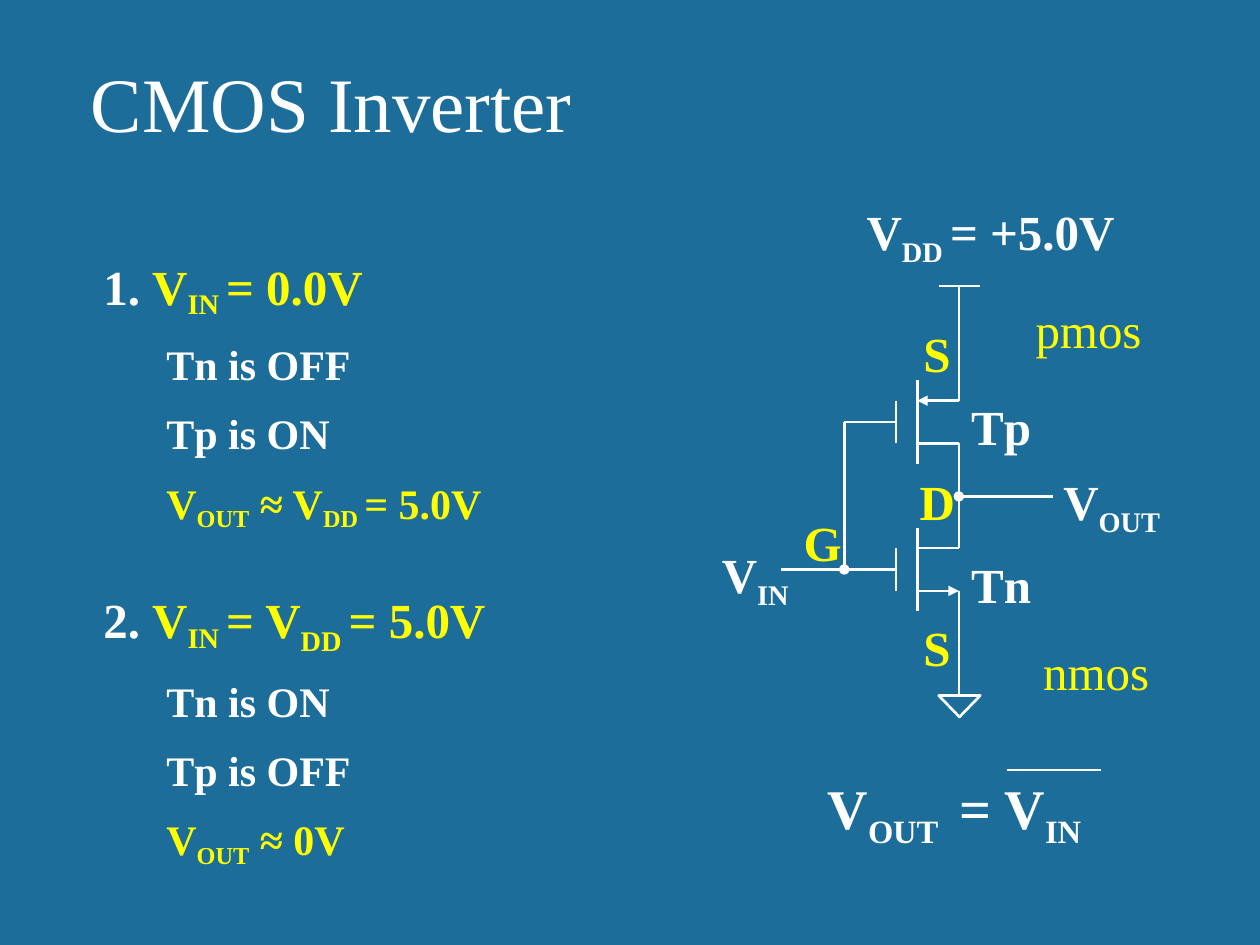
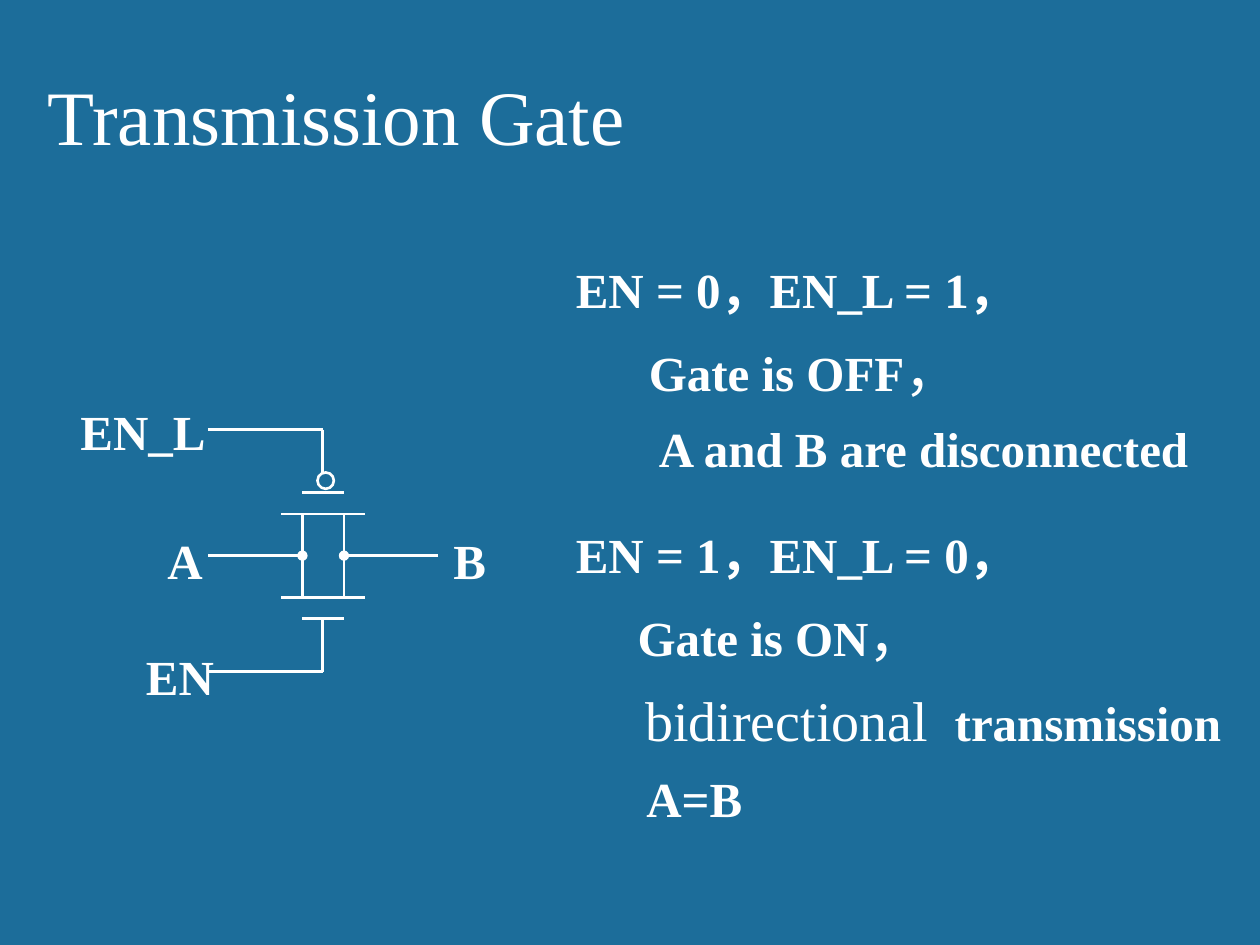
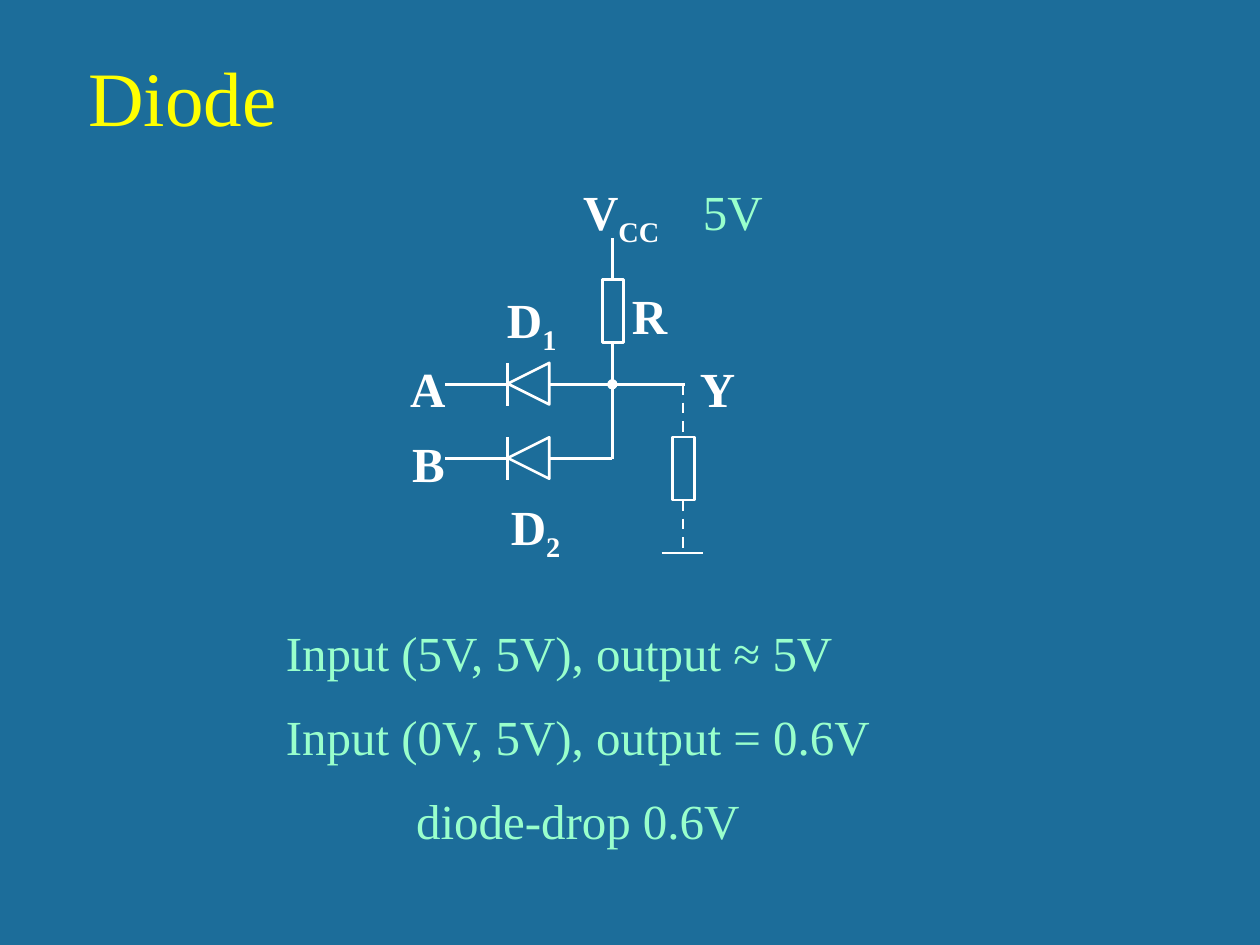
from dataclasses import dataclass
from typing import Optional

import pptx
import pptx.dml.color
import pptx.enum.dml
import pptx.enum.shapes
import pptx.enum.text
import pptx.oxml.ns
import pptx.util
from lxml import etree

Inches = pptx.util.Inches
Pt = pptx.util.Pt
Align = pptx.enum.text.PP_ALIGN
Shape = pptx.enum.shapes.MSO_SHAPE
qn = pptx.oxml.ns.qn


@dataclass(frozen=True)
class Theme:
    font: str = "Times New Roman"
    background: str = "1C6D9A"
    white: str = "FFFFFF"
    yellow: str = "FFFF00"
    mint: str = "99FFCC"
    title: float = 44
    equation: float = 32
    label: float = 28
    detail: float = 24
    line: float = 1.5


THEME = Theme()


@dataclass(frozen=True)
class Span:
    """A piece of text; unset fields follow the paragraph."""
    text: str
    color: Optional[str] = None
    size: Optional[float] = None
    bold: Optional[bool] = None
    baseline: int = 0


@dataclass(frozen=True)
class Para:
    spans: tuple
    size: float = THEME.label
    color: str = THEME.white
    bold: bool = True
    align: Align = Align.LEFT
    level: int = 0
    margin: float = 0
    hanging: float = 0
    before: float = 0
    spacing: float = 1.0


@dataclass(frozen=True)
class Label:
    left: float
    top: float
    width: float
    spans: tuple
    color: str = THEME.white
    bold: bool = True
    align: Align = Align.LEFT


@dataclass(frozen=True)
class Wire:
    x1: float
    y1: float
    x2: float
    y2: float
    head: str = ""
    tail: str = ""
    dashed: bool = False


def sub(text: str, baseline: int = -25) -> Span:
    return Span(text, baseline=baseline)


def rgb(color: str) -> pptx.dml.color.RGBColor:
    return pptx.dml.color.RGBColor.from_string(color)


# Text

def write_para(para, item: Para) -> None:
    para.level = item.level
    para.alignment = item.align
    para.line_spacing = item.spacing
    para.space_before = Pt(item.before)
    properties = para._p.get_or_add_pPr()
    properties.set("marL", str(Inches(item.margin)))
    properties.set("indent", str(Inches(-item.hanging)))
    etree.SubElement(properties, qn("a:buNone"))
    para.font.name = THEME.font
    para.font.size = Pt(item.size)
    para.font.bold = item.bold
    para.font.color.rgb = rgb(item.color)
    for span in item.spans:
        run = para.add_run()
        run.text = span.text
        if span.color:
            run.font.color.rgb = rgb(span.color)
        if span.size:
            run.font.size = Pt(span.size)
        if span.bold is not None:
            run.font.bold = span.bold
        if span.baseline:
            run._r.get_or_add_rPr().set("baseline", str(span.baseline * 1000))


def write(frame, items) -> None:
    for index, item in enumerate(items):
        write_para(frame.add_paragraph() if index else frame.paragraphs[0], item)


def place(box, left: float, top: float, width: float, height: float) -> None:
    box.left, box.top = Inches(left), Inches(top)
    box.width, box.height = Inches(width), Inches(height)


def add_page(deck, layout: int, title: str, left: float, top: float,
             color: str = THEME.white):
    page = deck.slides.add_slide(deck.slide_layouts[layout])
    box = page.shapes.title
    place(box, left, top, 8.5, 0.84)
    box.text_frame.vertical_anchor = pptx.enum.text.MSO_ANCHOR.BOTTOM
    box.text_frame.auto_size = pptx.enum.text.MSO_AUTO_SIZE.NONE
    write(box.text_frame, [Para((Span(title),), THEME.title, color, False)])
    return page


def fill_body(page, left: float, top: float, width: float, height: float, items) -> None:
    box = page.placeholders[1]
    place(box, left, top, width, height)
    box.text_frame.auto_size = pptx.enum.text.MSO_AUTO_SIZE.NONE
    write(box.text_frame, items)


def add_text(page, left: float, top: float, width: float, height: float, items) -> None:
    box = page.shapes.add_textbox(Inches(left), Inches(top), Inches(width), Inches(height))
    box.text_frame.word_wrap = False
    write(box.text_frame, items)


def add_labels(page, labels) -> None:
    for label in labels:
        add_text(page, label.left, label.top, label.width, 0.57,
                 [Para(label.spans, color=label.color, bold=label.bold, align=label.align)])


# Circuit parts

def add_wires(page, wires) -> None:
    for wire in wires:
        connector = page.shapes.add_connector(
            pptx.enum.shapes.MSO_CONNECTOR.STRAIGHT,
            Inches(wire.x1), Inches(wire.y1), Inches(wire.x2), Inches(wire.y2))
        connector.line.color.rgb = rgb(THEME.white)
        connector.line.width = Pt(THEME.line)
        if wire.dashed:
            connector.line.dash_style = pptx.enum.dml.MSO_LINE.DASH
        outline = connector.line._get_or_add_ln()
        for tag, kind in (("a:headEnd", wire.head), ("a:tailEnd", wire.tail)):
            if kind:
                etree.SubElement(outline, qn(tag)).set("type", kind)
        etree.SubElement(connector._element.spPr, qn("a:effectLst"))


def add_outline(page, kind: Shape, left: float, top: float, width: float,
                height: float, rotation: float = 0) -> None:
    shape = page.shapes.add_shape(kind, Inches(left), Inches(top), Inches(width), Inches(height))
    shape.rotation = rotation
    shape.shadow.inherit = False
    shape.fill.background()
    shape.line.color.rgb = rgb(THEME.white)
    shape.line.width = Pt(THEME.line)


def add_transistor(page, x: float, y: float, arrow_y: float, head: str = "",
                   tail: str = "") -> None:
    """Gate plate at x, channel beside it, and two taps; one tap has an arrow."""
    channel, end = x + 0.17, x + 0.5
    add_wires(page, [
        Wire(x, y - 0.17, x, y + 0.17),
        Wire(channel, y - 0.33, channel, y + 0.33),
        Wire(channel, y + arrow_y, end, y + arrow_y, head, tail),
        Wire(channel, y - arrow_y, end, y - arrow_y),
    ])


def add_diode(page, left: float, y: float) -> None:
    add_outline(page, Shape.ISOSCELES_TRIANGLE, left, y - 0.17, 0.33, 0.33, 270)
    add_wires(page, [
        Wire(left, y - 0.17, left, y + 0.17),
        Wire(left, y, left - 0.5, y),
        Wire(left + 0.33, y, left + 0.83, y),
    ])


def add_resistor(page, x: float, top: float) -> None:
    add_outline(page, Shape.RECTANGLE, x - 0.08, top, 0.17, 0.5)


# Slides

def build_inverter(deck) -> None:
    page = add_page(deck, 1, "CMOS Inverter", 0.62, 0.38)

    def case(number: str, spans: tuple, before: float = 0) -> Para:
        return Para((Span(number, THEME.white),) + spans, color=THEME.yellow,
                    margin=0.38, hanging=0.38, before=before, spacing=1.2)

    def detail(*spans: Span, color: str = THEME.white) -> Para:
        return Para(spans, THEME.detail, color, level=1, margin=0.81,
                    hanging=0.31, before=4.8, spacing=1.2)

    v, v_in, v_out = Span("V"), sub("IN ", -20), sub("OUT", -20)
    fill_body(page, 0.72, 1.88, 4.98, 5.25, [
        case("1. ", (v, v_in, Span("= 0.0V"))),
        detail(Span("Tn is OFF")),
        detail(Span("Tp is ON")),
        detail(v, v_out, Span(" ≈ V"), sub("DD ", -20), Span("= 5.0V"), color=THEME.yellow),
        case("2. ", (v, v_in, Span("= V"), sub("DD "), Span("= 5.0V")), before=25),
        detail(Span("Tn is ON")),
        detail(Span("Tp is OFF")),
        detail(v, v_out, Span(" ≈ 0V"), color=THEME.yellow),
    ])

    # Transistor pair and its wiring
    gate, rail, tp_y, tn_y = 7.11, 7.61, 3.35, 4.52
    add_transistor(page, gate, tp_y, -0.17, head="triangle")
    add_transistor(page, gate, tn_y, 0.17, tail="triangle")
    add_wires(page, [
        Wire(rail - 0.16, 2.27, rail + 0.17, 2.27),
        Wire(rail, 2.27, rail, tp_y - 0.17),
        Wire(rail, tp_y + 0.17, rail, tn_y - 0.17),
        Wire(rail, tn_y + 0.17, rail, 5.52),
        Wire(rail, 3.94, 8.36, 3.94, head="oval"),
        Wire(gate, tp_y, 6.7, tp_y),
        Wire(gate, tn_y, 6.2, tn_y),
        Wire(6.7, tp_y, 6.7, tn_y, tail="oval"),
    ])
    add_outline(page, Shape.ISOSCELES_TRIANGLE, rail - 0.16, 5.52, 0.33, 0.17, 180)

    add_labels(page, [
        Label(6.78, 1.55, 2.25, (v, sub("DD "), Span("= +5.0V"))),
        Label(8.34, 3.69, 1.05, (v, sub("OUT"))),
        Label(5.63, 4.27, 0.78, (v, sub("IN"))),
        Label(7.61, 3.1, 0.68, (Span("Tp"),)),
        Label(7.61, 4.35, 0.68, (Span("Tn"),)),
        Label(6.28, 4.02, 0.51, (Span("G"),), THEME.yellow),
        Label(7.2, 3.69, 0.49, (Span("D"),), THEME.yellow),
        Label(7.23, 2.52, 0.42, (Span("S"),), THEME.yellow),
        Label(7.23, 4.85, 0.42, (Span("S"),), THEME.yellow),
        Label(8.12, 2.33, 1.05, (Span("pmos"),), THEME.yellow, False),
        Label(8.18, 5.04, 1.05, (Span("nmos"),), THEME.yellow, False),
    ])

    # Result, with the bar of the negation
    add_text(page, 6.47, 6.09, 2.73, 0.64, [
        Para((v, sub("OUT "), Span(" = V"), sub("IN")), THEME.equation)])
    add_wires(page, [Wire(7.99, 6.11, 8.74, 6.11)])


def build_transmission_gate(deck) -> None:
    page = add_page(deck, 1, "Transmission Gate", 0.28, 0.49)

    def line(*spans: Span, margin: float = 0, before: float = 6) -> Para:
        return Para(spans, margin=margin, before=before, spacing=1.1)

    comma = Span("，", size=THEME.equation, bold=False)
    fill_body(page, 4.47, 1.96, 5.47, 5.42, [
        line(Span("EN = 0，EN_L = 1，"), before=0),
        line(Span("Gate is OFF"), comma, margin=0.58),
        line(Span("A and B are disconnected"), margin=0.66),
        line(Span("EN = 1，EN_L = 0，"), before=23.5),
        line(Span("Gate is ON"), comma, margin=0.49),
        line(Span("bidirectional ", size=THEME.equation, bold=False),
             Span(" transmission"), margin=0.55),
        line(Span("A=B"), margin=0.56),
    ])

    # Two facing transistors, mirrored about the signal line
    center, signal = 2.56, 4.41
    left, right = center - 0.16, center + 0.17
    for side in (-1, 1):
        plate, channel = signal + side * 0.5, signal + side * 0.33
        add_wires(page, [
            Wire(left, plate, right, plate),
            Wire(left - 0.17, channel, right + 0.17, channel),
            Wire(left, channel, left, signal),
            Wire(right, channel, right, signal),
        ])
    add_outline(page, Shape.OVAL, 2.52, 3.75, 0.13, 0.13)
    add_wires(page, [
        Wire(1.65, 3.41, center, 3.41),
        Wire(center, 3.41, center, 3.75),
        Wire(center, 5.33, center, 4.91),
        Wire(center, 5.33, 1.65, 5.33),
        Wire(left, signal, 1.65, signal, head="oval"),
        Wire(right, signal, 3.48, signal, head="oval"),
    ])
    add_labels(page, [
        Label(1.06, 5.08, 0.75, (Span("EN"),)),
        Label(0.54, 3.14, 1.2, (Span("EN_L"),)),
        Label(1.23, 4.16, 0.49, (Span("A"),)),
        Label(3.5, 4.16, 0.46, (Span("B"),)),
    ])


def build_diode(deck) -> None:
    page = add_page(deck, 5, "Diode", 0.6, 0.34, THEME.yellow)

    # Supply branch, two diodes and the dashed load
    rail, load, a_y, b_y = 4.86, 5.42, 3.05, 3.64
    add_resistor(page, rail, 2.22)
    add_resistor(page, load, 3.47)
    for y in (a_y, b_y):
        add_diode(page, 4.03, y)
    add_wires(page, [
        Wire(rail, 2.22, rail, 1.89),
        Wire(rail, 2.72, rail, b_y),
        Wire(rail, a_y, 5.44, a_y, head="oval"),
        Wire(load, a_y, load, 3.47, dashed=True),
        Wire(load, 3.97, load, 4.39, dashed=True),
        Wire(load - 0.17, 4.39, load + 0.16, 4.39),
    ])
    add_labels(page, [
        Label(3.15, 2.8, 0.49, (Span("A"),), align=Align.CENTER),
        Label(3.17, 3.39, 0.46, (Span("B"),), align=Align.CENTER),
        Label(3.91, 2.25, 0.62, (Span("D"), sub("1")), align=Align.CENTER),
        Label(3.94, 3.89, 0.62, (Span("D"), sub("2")), align=Align.CENTER),
        Label(4.91, 2.22, 0.49, (Span("R"),), align=Align.CENTER),
        Label(5.45, 2.8, 0.49, (Span("Y"),), align=Align.CENTER),
        Label(4.53, 1.39, 0.9, (Span("V"), sub("CC"))),
        Label(5.48, 1.39, 0.8, (Span("5V"),), THEME.mint, False),
    ])

    # Input and output cases
    def result(text: str, before: float = 14.4, align: Align = Align.LEFT) -> Para:
        return Para((Span(text),), color=THEME.mint, bold=False, align=align, before=before)

    add_text(page, 2.17, 4.89, 4.89, 1.92, [
        result("Input (5V, 5V), output ≈ 5V", before=0),
        result("Input (0V, 5V), output = 0.6V"),
        result("diode-drop 0.6V", align=Align.CENTER),
    ])


def main() -> None:
    deck = pptx.Presentation()
    deck.slide_width, deck.slide_height = Inches(10), Inches(7.5)
    background = deck.slide_master.background.fill
    background.solid()
    background.fore_color.rgb = rgb(THEME.background)
    build_inverter(deck)
    build_transmission_gate(deck)
    build_diode(deck)
    deck.save("out.pptx")


if __name__ == "__main__":
    main()
